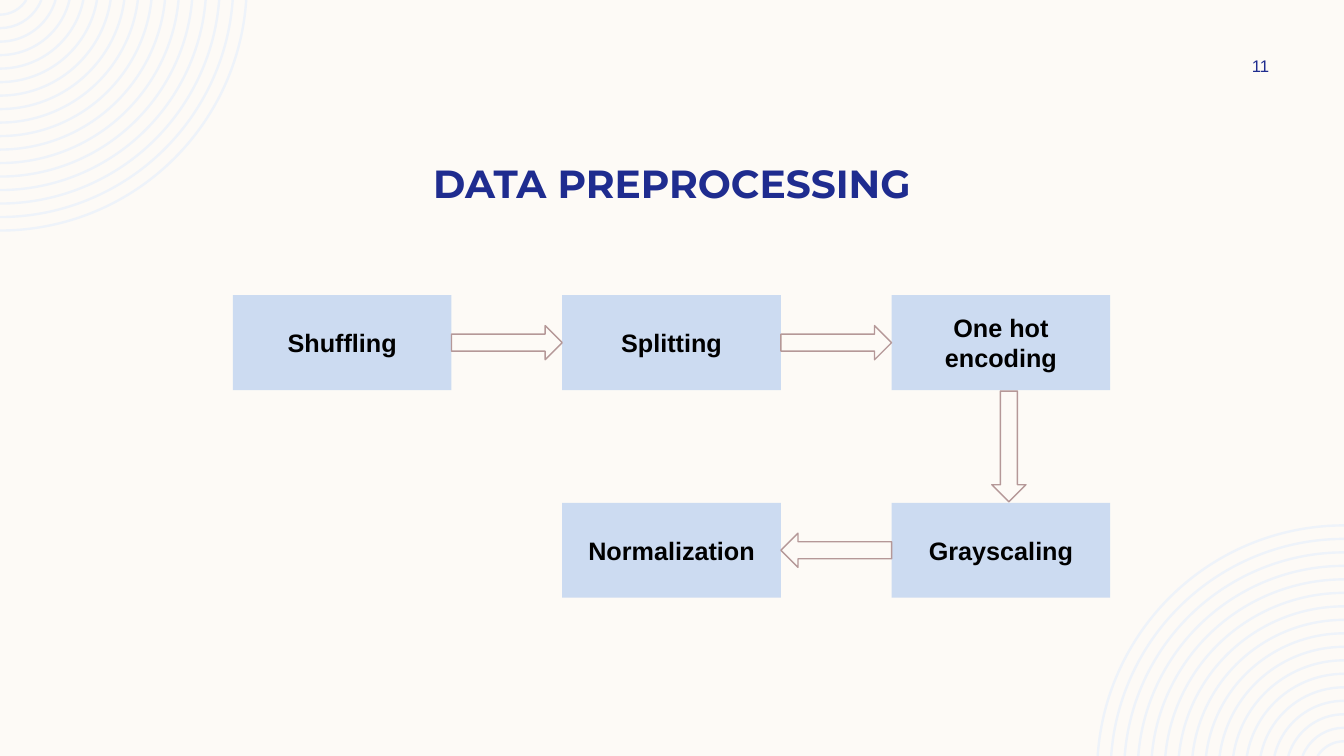
import math
from dataclasses import dataclass

from lxml import etree
from pptx import Presentation
from pptx.dml.color import RGBColor
from pptx.enum.shapes import MSO_SHAPE
from pptx.enum.text import MSO_ANCHOR, PP_ALIGN
from pptx.oxml.ns import qn
from pptx.shapes.autoshape import Shape
from pptx.slide import Slide
from pptx.util import Cm, Pt

RECTANGLE = MSO_SHAPE.RECTANGLE
RIGHT_ARROW = MSO_SHAPE.RIGHT_ARROW
CENTER = PP_ALIGN.CENTER
TOP = MSO_ANCHOR.TOP
MIDDLE = MSO_ANCHOR.MIDDLE

CREAM, PALE_BLUE, STEP_BLUE = "FDFAF6", "EEF3FA", "CCDBF1"
NAVY, BLACK, ROSE = "1F2C8F", "000000", "B59898"

# Lengths in centimetres
SLIDE_W, SLIDE_H = 33.87, 19.05
STEP_W, STEP_H = 5.51, 2.39
GRID_LEFT, GRID_TOP = 5.87, 7.44
COLUMN_PITCH, ROW_PITCH = 8.3, 5.23
ARROW_LENGTH, ARROW_WIDTH = 2.79, 0.86

RING_COUNT, RING_PITCH, RING_WIDTH = 17, 0.34, 0.06
OUTER_RADIUS, RING_CENTER_OFFSET = 6.22, 0.41
ANGLE_UNITS = 60000  # DrawingML angle units in one degree


@dataclass(frozen=True)
class Step:
    label: str
    column: int
    row: int


@dataclass(frozen=True)
class FlowArrow:
    """Grid position of the arrow's middle, and its turn in degrees."""
    column: float
    row: float
    rotation: int
    shift: float = 0


STEPS = [
    Step("Shuffling", 0, 0),
    Step("Splitting", 1, 0),
    Step("One hot encoding", 2, 0),
    Step("Grayscaling", 2, 1),
    Step("Normalization", 1, 1),
]
ARROWS = [
    FlowArrow(0.5, 0, 0),
    FlowArrow(1.5, 0, 0),
    FlowArrow(2, 0.5, 90, shift=0.2),
    FlowArrow(1.5, 1, 180),
]


def rgb(color: str) -> RGBColor:
    return RGBColor.from_string(color)


def paint(shape: Shape, fill: str, line: str | None = None) -> None:
    shape.shadow.inherit = False
    shape.fill.solid()
    shape.fill.fore_color.rgb = rgb(fill)
    if line is None:
        shape.line.fill.background()
    else:
        shape.line.color.rgb = rgb(line)
        shape.line.width = Pt(1)


def write(shape: Shape, text: str, font: str, size: int, color: str,
          bold: bool = False, anchor: MSO_ANCHOR = MIDDLE) -> None:
    frame = shape.text_frame
    frame.text = text
    frame.word_wrap = True
    frame.vertical_anchor = anchor
    paragraph = frame.paragraphs[0]
    paragraph.alignment = CENTER
    style = paragraph.runs[0].font
    style.name, style.size, style.bold = font, Pt(size), bold
    style.color.rgb = rgb(color)


def add_corner_rings(slide: Slide, opposite: bool = False) -> None:
    """Rings in the top left corner, or turned into the bottom right one."""
    radii = [OUTER_RADIUS - i * RING_PITCH for i in range(RING_COUNT)]
    builder = None
    for radius in radii:
        reach = math.sqrt(radius ** 2 - RING_CENTER_OFFSET ** 2)
        ends = [(reach, 0), (0, radius - RING_CENTER_OFFSET)]
        if opposite:
            ends = [(SLIDE_W - x, SLIDE_H - y) for x, y in ends]
        start, end = [(Cm(x), Cm(y)) for x, y in ends]
        if builder is None:
            builder = slide.shapes.build_freeform(*start)
        else:
            builder.move_to(*start)
        builder.add_line_segments([end], close=False)

    rings = builder.convert_to_shape()
    rings.shadow.inherit = False
    rings.fill.background()
    rings.line.color.rgb = rgb(PALE_BLUE)
    rings.line.width = Cm(RING_WIDTH)

    # Bend each straight segment into a circular arc
    segments = list(rings.element.iter(qn("a:lnTo")))
    for radius, segment in zip(radii, segments):
        start_angle = math.degrees(math.asin(RING_CENTER_OFFSET / radius))
        turn = 180 if opposite else 0
        bend = etree.Element(qn("a:arcTo"), {
            "wR": str(Cm(radius)),
            "hR": str(Cm(radius)),
            "stAng": str(round((start_angle + turn) * ANGLE_UNITS)),
            "swAng": str(round((90 - start_angle) * ANGLE_UNITS)),
        })
        segment.getparent().replace(segment, bend)


def add_step(slide: Slide, step: Step) -> None:
    box = slide.shapes.add_shape(
        RECTANGLE,
        Cm(GRID_LEFT + step.column * COLUMN_PITCH),
        Cm(GRID_TOP + step.row * ROW_PITCH),
        Cm(STEP_W), Cm(STEP_H))
    paint(box, STEP_BLUE)
    write(box, step.label, "Arial", 18, BLACK, bold=True)


def add_flow_arrow(slide: Slide, arrow: FlowArrow) -> None:
    center_x = GRID_LEFT + STEP_W / 2 + arrow.column * COLUMN_PITCH + arrow.shift
    center_y = GRID_TOP + STEP_H / 2 + arrow.row * ROW_PITCH
    block = slide.shapes.add_shape(
        RIGHT_ARROW,
        Cm(center_x - ARROW_LENGTH / 2), Cm(center_y - ARROW_WIDTH / 2),
        Cm(ARROW_LENGTH), Cm(ARROW_WIDTH))
    block.rotation = arrow.rotation
    paint(block, CREAM, ROSE)


def main() -> None:
    deck = Presentation()
    deck.slide_width, deck.slide_height = Cm(SLIDE_W), Cm(SLIDE_H)
    slide = deck.slides.add_slide(deck.slide_layouts[6])
    slide.background.fill.solid()
    slide.background.fill.fore_color.rgb = rgb(CREAM)

    add_corner_rings(slide)
    add_corner_rings(slide, opposite=True)

    title = slide.shapes.add_textbox(Cm(2.11), Cm(3.35), Cm(29.64), Cm(2.13))
    write(title, "DATA PREPROCESSING", "Montserrat", 28, NAVY, bold=True, anchor=TOP)
    title.text_frame.paragraphs[0].line_spacing = Pt(48.8)

    page_number = slide.shapes.add_textbox(Cm(30.4), Cm(1.27), Cm(2.74), Cm(0.76))
    write(page_number, "11", "Arial", 12, NAVY)

    for step in STEPS:
        add_step(slide, step)
    for arrow in ARROWS:
        add_flow_arrow(slide, arrow)

    deck.save("out.pptx")


if __name__ == "__main__":
    main()
